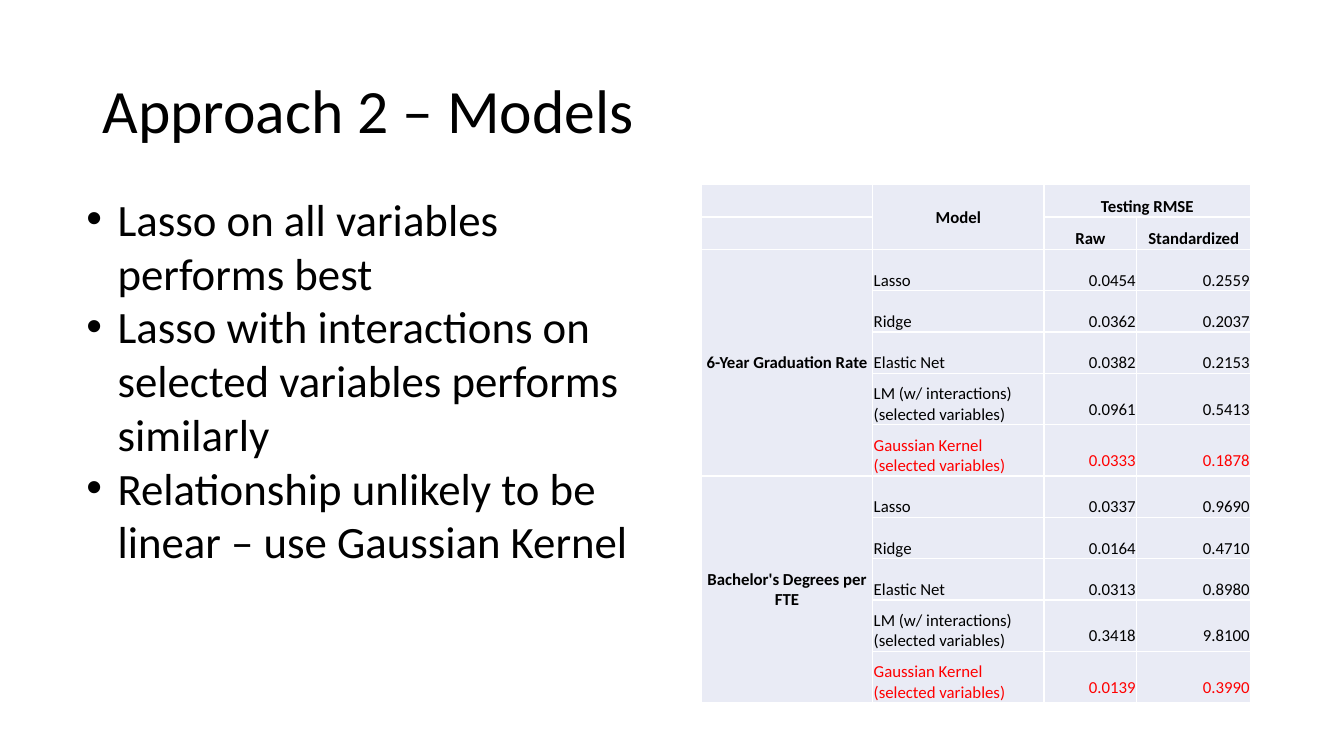
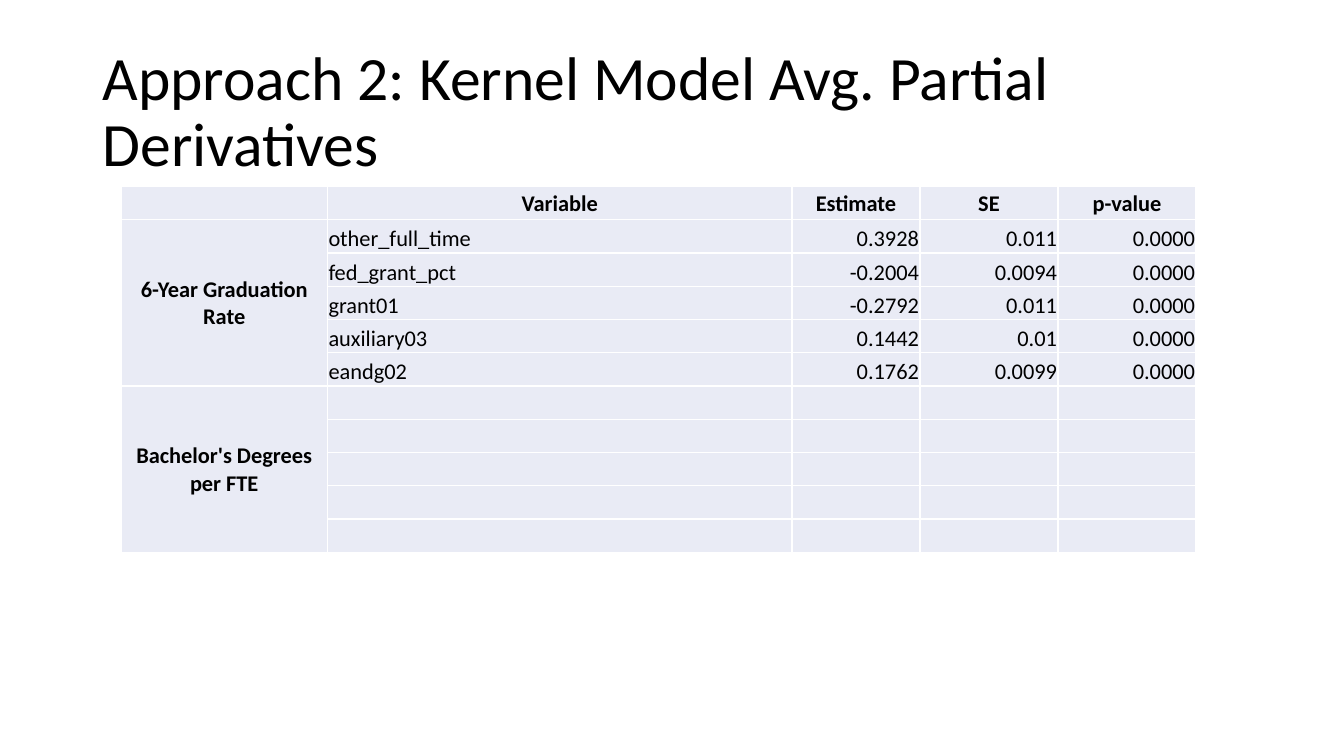
from dataclasses import dataclass

from lxml import etree
from pptx import Presentation
from pptx import util as u
from pptx.dml.color import RGBColor
from pptx.enum import text
from pptx.oxml import ns

COLS, ROWS = 160, 90
CENTER, LEFT, RIGHT = text.PP_ALIGN.CENTER, text.PP_ALIGN.LEFT, text.PP_ALIGN.RIGHT
MIDDLE, BOTTOM = text.MSO_ANCHOR.MIDDLE, text.MSO_ANCHOR.BOTTOM


@dataclass(frozen=True)
class Theme:
    """Colours and type sizes of the deck."""
    font: str = "Calibri"
    ink: str = "000000"
    accent: str = "FF0000"
    cell: str = "E9EBF5"
    rule: str = "FFFFFF"
    title: int = 44
    body: int = 32
    table: int = 16
    table_small: int = 12


T = Theme()
prs = Presentation()
prs.slide_width, prs.slide_height = u.Inches(13.33), u.Inches(7.5)


def box(col, row, width, height):
    """Turn grid columns and rows into left, top, width, height."""
    cw, rh = prs.slide_width / COLS, prs.slide_height / ROWS
    return int(col * cw), int(row * rh), int(width * cw), int(height * rh)


def add_run(p, words, size, color=T.ink, bold=False):
    """Add one formatted run to a paragraph."""
    r = p.add_run()
    r.text = words
    f = r.font
    f.name, f.size, f.bold = T.font, u.Pt(size), bold
    f.color.rgb = RGBColor.from_string(color)


def paragraphs(tf, count):
    """Yield the first paragraph and as many new ones as needed."""
    for i in range(count):
        yield tf.add_paragraph() if i else tf.paragraphs[0]


def titled_slide(title):
    """Add a title-only slide with the shared title style."""
    s = prs.slides.add_slide(prs.slide_layouts[5])
    sp = s.shapes.title
    sp.left, sp.top, sp.width, sp.height = box(11, 4.8, 138, 17.4)
    tf = sp.text_frame
    tf.word_wrap, tf.auto_size = True, text.MSO_AUTO_SIZE.NONE
    tf.vertical_anchor = MIDDLE
    p = tf.paragraphs[0]
    p.alignment, p.line_spacing = LEFT, 0.9
    add_run(p, title, T.title)
    return s


def bullet_list(s, area, items):
    """Fill an area with bulleted paragraphs."""
    tf = s.shapes.add_textbox(*area).text_frame
    tf.word_wrap = True
    indent = u.Inches(0.31)
    for p, item in zip(paragraphs(tf, len(items)), items):
        pPr = p._p.get_or_add_pPr()
        pPr.set("marL", str(indent))
        pPr.set("indent", str(-indent))
        etree.SubElement(pPr, ns.qn("a:buFont")).set("typeface", "Arial")
        etree.SubElement(pPr, ns.qn("a:buChar")).set("char", "•")
        add_run(p, item, T.body)


def style_cell(cell):
    """Give a cell its borders, fill and tight margins."""
    tcPr = cell._tc.get_or_add_tcPr()
    for side in ("lnL", "lnR", "lnT", "lnB"):
        ln = etree.SubElement(tcPr, ns.qn("a:" + side), w=str(u.Pt(1)))
        fill = etree.SubElement(ln, ns.qn("a:solidFill"))
        etree.SubElement(fill, ns.qn("a:srgbClr"), val=T.rule)
    cell.fill.solid()
    cell.fill.fore_color.rgb = RGBColor.from_string(T.cell)
    cell.margin_left = cell.margin_right = cell.margin_top = u.Inches(0.01)
    cell.margin_bottom = 0


def write(cell, words, size, align=CENTER, anchor=MIDDLE, color=T.ink, bold=False):
    """Write the lines of a cell, one paragraph each."""
    cell.vertical_anchor = anchor
    lines = words.split("\n")
    for p, line in zip(paragraphs(cell.text_frame, len(lines)), lines):
        p.alignment = align
        add_run(p, line, size, color, bold)


def plain_table(s, area, widths, heights):
    """Add a table whose columns and rows share the area by weight."""
    left, top, width, height = area
    table = s.shapes.add_table(len(heights), len(widths), *area).table
    table.first_row = table.horz_banding = False
    for column, share in zip(table.columns, widths):
        column.width = int(width * share / sum(widths))
    for row, share in zip(table.rows, heights):
        row.height = int(height * share / sum(heights))
    for cell in table.iter_cells():
        style_cell(cell)
    return table


def outcome_headers(table, first_row, size):
    """Merge the first column into one header per block of five rows."""
    for i, outcome in enumerate(("6-Year Graduation Rate", "Bachelor's Degrees per FTE")):
        top = first_row + 5 * i
        table.cell(top, 0).merge(table.cell(top + 4, 0))
        write(table.cell(top, 0), outcome, size, bold=True)


def rmse_table(s, area):
    """Compare the models by testing RMSE; the best model is in the accent colour."""
    single, double = 0.41, 0.51
    models = (("Lasso", single), ("Ridge", single), ("Elastic Net", single),
              ("LM (w/ interactions)\n(selected variables)", double),
              ("Gaussian Kernel (selected variables)", double))
    scores = (("0.0454", "0.2559"), ("0.0362", "0.2037"), ("0.0382", "0.2153"),
              ("0.0961", "0.5413"), ("0.0333", "0.1878"),
              ("0.0337", "0.9690"), ("0.0164", "0.4710"), ("0.0313", "0.8980"),
              ("0.3418", "9.8100"), ("0.0139", "0.3990"))
    size = T.table_small
    heights = [0.32] * 2 + [h for _, h in models] * 2
    table = plain_table(s, area, (1.7, 1.7, 0.92, 1.13), heights)
    table.cell(0, 1).merge(table.cell(1, 1))
    table.cell(0, 2).merge(table.cell(0, 3))
    write(table.cell(0, 1), "Model", size, bold=True)
    for row, col, head in ((0, 2, "Testing RMSE"), (1, 2, "Raw"), (1, 3, "Standardized")):
        write(table.cell(row, col), head, size, anchor=BOTTOM, bold=True)
    outcome_headers(table, 2, size)
    for row, ((model, height), pair) in enumerate(zip(models * 2, scores), 2):
        color = T.accent if model.startswith("Gaussian") else T.ink
        write(table.cell(row, 1), model, size, LEFT, BOTTOM, color)
        for col, score in enumerate(pair, 2):
            cell = table.cell(row, col)
            write(cell, score, size, RIGHT, BOTTOM, color)
            cell.margin_bottom = u.Inches((height - single) / 2)


def derivative_table(s, area):
    """List the average partial derivatives; the second block is still open."""
    heads = ("Variable", "Estimate", "SE", "p-value")
    rows = (("other_full_time", "0.3928", "0.011", "0.0000"),
            ("fed_grant_pct", "-0.2004", "0.0094", "0.0000"),
            ("grant01", "-0.2792", "0.011", "0.0000"),
            ("auxiliary03", "0.1442", "0.01", "0.0000"),
            ("eandg02", "0.1762", "0.0099", "0.0000"))
    table = plain_table(s, area, (2.05, 4.61, 1.27, 1.37, 1.37), [1] * 11)
    for col, head in enumerate(heads, 1):
        write(table.cell(0, col), head, T.table, bold=True)
    outcome_headers(table, 1, T.table)
    for row, values in enumerate(rows, 1):
        for col, value in enumerate(values, 1):
            write(table.cell(row, col), value, T.table, LEFT if col == 1 else RIGHT, BOTTOM)


def models_slide():
    """Findings on the left, model comparison on the right."""
    s = titled_slide("Approach 2 – Models")
    bullet_list(s, box(9.1, 22.2, 67.3, 50), (
        "Lasso on all variables performs best",
        "Lasso with interactions on selected variables performs similarly",
        "Relationship unlikely to be linear – use Gaussian Kernel"))
    rmse_table(s, box(83.5, 22, 65.4, 61.7))


def derivatives_slide():
    """One wide table below the title."""
    s = titled_slide("Approach 2: Kernel Model Avg. Partial Derivatives")
    derivative_table(s, box(14.4, 22.2, 128, 43.6))


models_slide()
derivatives_slide()
prs.save("out.pptx")
